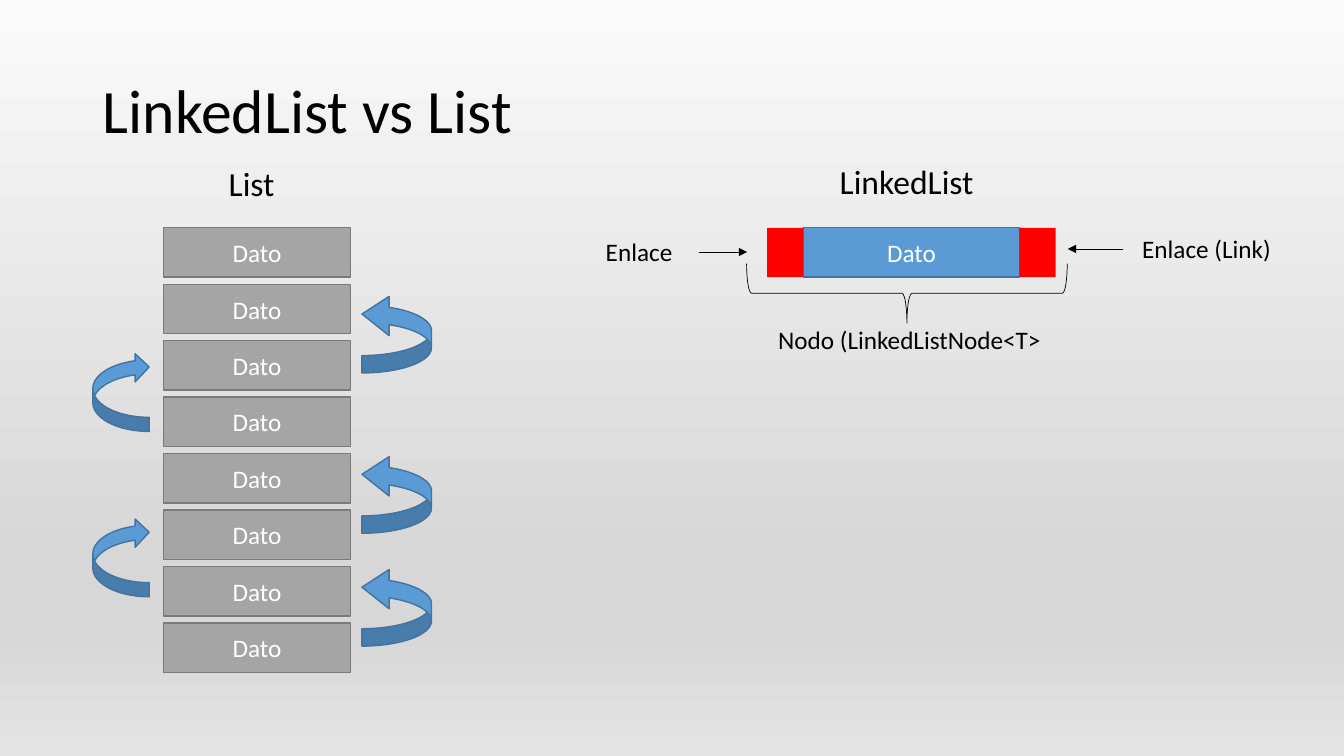
import copy

import pptx
import pptx.dml.color
import pptx.enum.shapes
import pptx.enum.text
import pptx.oxml.ns
import pptx.oxml.xmlchemy
import pptx.util
from pptx.util import Inches

RGBColor = pptx.dml.color.RGBColor
SHAPE = pptx.enum.shapes.MSO_SHAPE
ANCHOR = pptx.enum.text.MSO_ANCHOR
ALIGN = pptx.enum.text.PP_ALIGN
qn = pptx.oxml.ns.qn

BLACK = RGBColor(0x00, 0x00, 0x00)
WHITE = RGBColor(0xFF, 0xFF, 0xFF)
GRAY = RGBColor(0xA5, 0xA5, 0xA5)
DARK_GRAY = RGBColor(0x7A, 0x7A, 0x7A)
BLUE = RGBColor(0x5B, 0x9B, 0xD5)
DARK_BLUE = RGBColor(0x43, 0x73, 0x9E)
RED = RGBColor(0xFF, 0x00, 0x00)
SKY = RGBColor(0xFA, 0xFA, 0xFA)
MIST = RGBColor(0xD7, 0xD7, 0xD7)
FLOOR = RGBColor(0xE4, 0xE4, 0xE4)


def write(shape, text, size, color, align):
    para = shape.text_frame.paragraphs[0]
    para.text = text
    para.alignment = align
    para.font.name = "Calibri"
    para.font.size = pptx.util.Pt(size)
    para.font.color.rgb = color


def draw(shapes, kind, place, fill, line, text=""):
    """Add a preset shape; None as fill or line leaves that part undrawn."""
    shape = shapes.add_shape(kind, *map(Inches, place))
    shape.shadow.inherit = False
    if fill is None:
        shape.fill.background()
    else:
        shape.fill.solid()
        shape.fill.fore_color.rgb = fill
    if line is None:
        shape.line.fill.background()
    else:
        shape.line.color.rgb = line
        shape.line.width = pptx.util.Pt(1)
    if text:
        shape.text_frame.vertical_anchor = ANCHOR.MIDDLE
        write(shape, text, 18, WHITE, ALIGN.CENTER)
    return shape


deck = pptx.Presentation()
deck.slide_width = Inches(13.33)
deck.slide_height = Inches(7.5)
page = deck.slides.add_slide(deck.slide_layouts[5])

# Background gradient, top to bottom
backdrop = page.background.fill
backdrop.gradient()
backdrop.gradient_angle = 270
stop_list = page.element.find(".//" + qn("a:gsLst"))
for stop in list(stop_list):
    stop_list.append(copy.deepcopy(stop))
stops = [(0, SKY), (0.74, MIST), (0.83, MIST), (1, FLOOR)]
for stop, (position, color) in zip(backdrop.gradient_stops, stops):
    stop.position = position
    stop.color.rgb = color

# Title
title = page.shapes.title
title.left, title.top = Inches(0.92), Inches(0.4)
title.width, title.height = Inches(11.5), Inches(1.45)
title.text_frame.vertical_anchor = ANCHOR.MIDDLE
write(title, "LinkedList vs List", 44, BLACK, ALIGN.LEFT)
title.text_frame.paragraphs[0].line_spacing = 0.9

# List: stacked cells with curved arrows on both sides
for row in range(8):
    draw(page.shapes, SHAPE.RECTANGLE, (1.62, 2.26 + 0.56 * row, 1.86, 0.49),
         GRAY, DARK_GRAY, "Dato")

for top in (2.92, 4.51, 5.63):
    arrow = draw(page.shapes, SHAPE.CURVED_RIGHT_ARROW, (3.59, top, 0.69, 0.78),
                 BLUE, DARK_BLUE)
    arrow.rotation = 180
    for index, value in enumerate((0.25, 0.65, 0.39)):
        arrow.adjustments[index] = value

for top in (3.5, 5.14):
    arrow = draw(page.shapes, SHAPE.CURVED_LEFT_ARROW, (0.92, top, 0.56, 0.78),
                 BLUE, DARK_BLUE)
    arrow.rotation = 180

# LinkedList: one node with a link at each end
node = page.shapes.add_group_shape()
draw(node.shapes, SHAPE.RECTANGLE, (7.97, 2.26, 2.14, 0.49), BLUE, DARK_BLUE, "Dato")
for left in (7.61, 10.11):
    draw(node.shapes, SHAPE.RECTANGLE, (left, 2.26, 0.36, 0.49), RED, None)

brace = draw(page.shapes, SHAPE.LEFT_BRACE, (8.7, 1.32, 0.59, 3.18), None, BLACK)
brace.rotation = 270
brace.line.width = pptx.util.Pt(0.5)

# Labels
labels = [
    ("List", 24, (2.17, 1.57, 0.66, 0.5)),
    ("LinkedList", 24, (8.23, 1.55, 1.54, 0.5)),
    ("Enlace", 18, (5.91, 2.3, 0.87, 0.4)),
    ("Enlace (Link)", 18, (11.23, 2.27, 1.49, 0.4)),
    ("Nodo (LinkedListNode<T>", 18, (7.62, 3.17, 2.84, 0.4)),
]
for text, size, place in labels:
    box = page.shapes.add_textbox(*map(Inches, place))
    box.text_frame.word_wrap = False
    box.text_frame.auto_size = pptx.enum.text.MSO_AUTO_SIZE.SHAPE_TO_FIT_TEXT
    write(box, text, size, BLACK, ALIGN.LEFT)

# Arrows from the link labels to the node
for start, end, level in ((6.93, 7.41, 2.5), (11.14, 10.59, 2.47)):
    pointer = page.shapes.add_connector(
        pptx.enum.shapes.MSO_CONNECTOR.STRAIGHT,
        Inches(start), Inches(level), Inches(end), Inches(level))
    pointer.line.color.rgb = BLACK
    pointer.line.width = pptx.util.Pt(0.5)
    outline = pointer.line._get_or_add_ln()
    outline.append(outline.makeelement(qn("a:tailEnd"), {"type": "triangle"}))
    properties = outline.getparent()
    properties.append(properties.makeelement(qn("a:effectLst"), {}))

deck.save("out.pptx")
